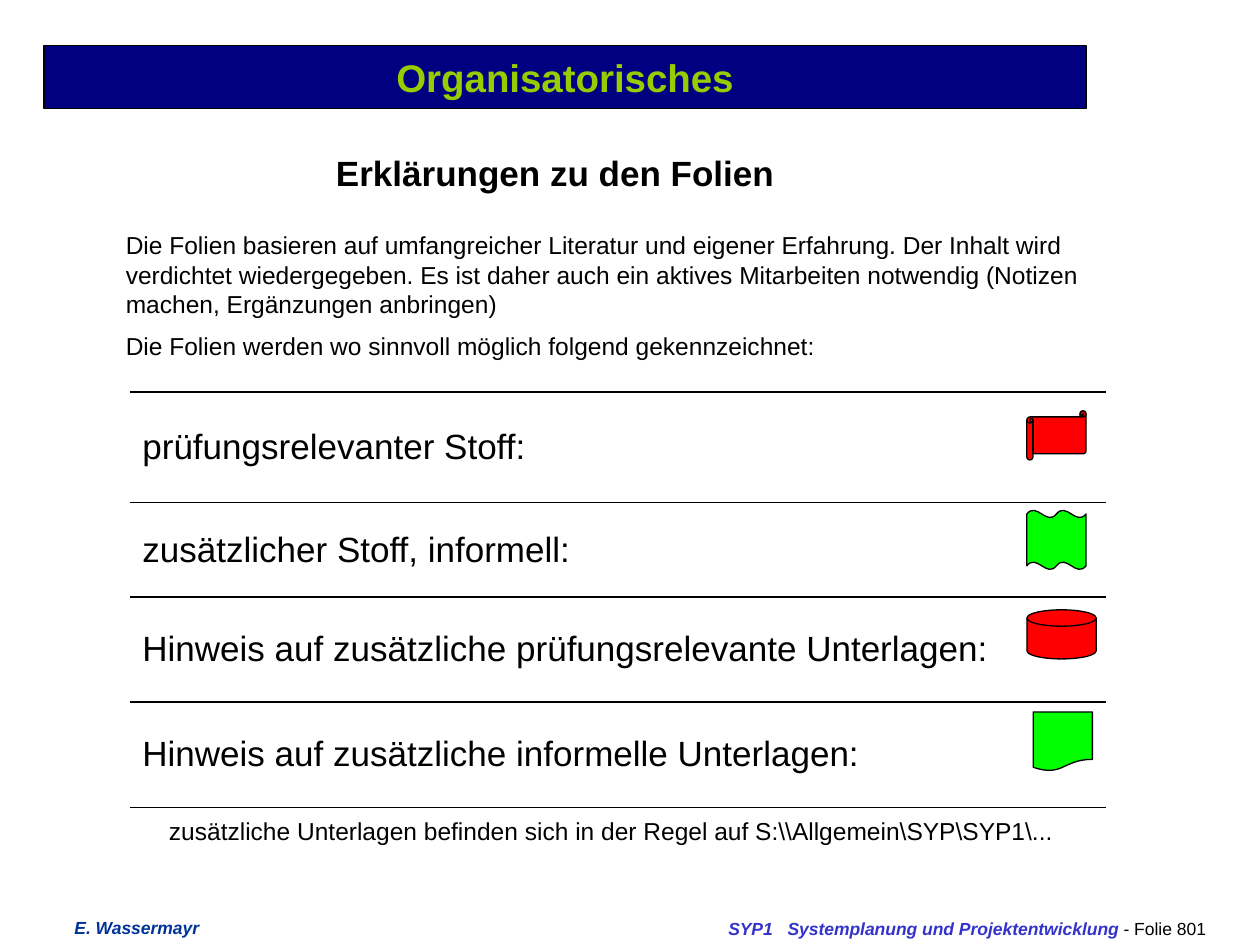
from lxml.etree import SubElement
from pptx import Presentation
from pptx.dml.color import RGBColor
from pptx.enum.shapes import MSO_SHAPE as SHAPE
from pptx.enum.text import MSO_ANCHOR as ANCHOR, PP_ALIGN as ALIGN
from pptx.oxml.ns import qn
from pptx.util import Inches, Pt

WIDTH, HEIGHT = Inches(10), Inches(7.5)
BLACK, NAVY, RED, GREEN = "000000", "000080", "FF0000", "00FF00"

# label, row height, icon shape, icon box (left, top, width, height) within the row
LEGEND = [
    ("prüfungsrelevanter Stoff:", 11.73,
     SHAPE.HORIZONTAL_SCROLL, RED, (71.2, 2, 4.7, 5.2)),
    ("zusätzlicher Stoff, informell:", 10,
     SHAPE.DOUBLE_WAVE, GREEN, (71.2, 0.8, 4.7, 6.27)),
    ("Hinweis auf zusätzliche prüfungsrelevante Unterlagen:", 11.07,
     SHAPE.FLOWCHART_MAGNETIC_DISK, RED, (71.2, 1.33, 5.5, 5.2)),
    ("Hinweis auf zusätzliche informelle Unterlagen:", 11.2,
     SHAPE.FLOWCHART_DOCUMENT, GREEN, (71.7, 1.07, 4.7, 6.27)),
]
INTRO = [
    "Die Folien basieren auf umfangreicher Literatur und eigener Erfahrung. "
    "Der Inhalt wird verdichtet wiedergegeben. Es ist daher auch ein aktives "
    "Mitarbeiten notwendig (Notizen machen, Ergänzungen anbringen)",
    "Die Folien werden wo sinnvoll möglich folgend gekennzeichnet:",
]


def color(hex_value):
    return RGBColor.from_string(hex_value)


def across(percent):
    return round(WIDTH * percent / 100)


def down(percent):
    return round(HEIGHT * percent / 100)


def place(box):
    """Turn a box in percent of the slide into lengths."""
    left, top, width, height = box
    return across(left), down(top), across(width), down(height)


def add_run(paragraph, text, size, hex_value=BLACK, **styles):
    run = paragraph.add_run()
    run.text = text
    run.font.color.rgb = color(hex_value)
    for name, value in {"name": "Arial", "size": Pt(size), **styles}.items():
        setattr(run.font, name, value)


def add_text(slide, box, lines, size, hex_value=BLACK, align=ALIGN.LEFT, wrap=True, **styles):
    frame = slide.shapes.add_textbox(*place(box)).text_frame
    frame.word_wrap = wrap
    for index, line in enumerate(lines):
        paragraph = frame.add_paragraph() if index else frame.paragraphs[0]
        paragraph.alignment = align
        if index:
            paragraph.space_before = Pt(size / 2)
        add_run(paragraph, line, size, hex_value, **styles)


def add_filled(slide, kind, box, fill):
    shape = slide.shapes.add_shape(kind, *place(box))
    shape.shadow.inherit = False
    shape.fill.solid()
    shape.fill.fore_color.rgb = color(fill)
    shape.line.color.rgb = color(BLACK)
    shape.line.width = Pt(0.75)
    return shape


def add_title(slide, box, text):
    frame = add_filled(slide, SHAPE.RECTANGLE, box, NAVY).text_frame
    frame.vertical_anchor = ANCHOR.MIDDLE
    frame.paragraphs[0].alignment = ALIGN.CENTER
    add_run(frame.paragraphs[0], text, 22, "99CC00", bold=True)


def rule_cell(cell):
    """Draw lines above and below the cell only."""
    properties = cell._tc.get_or_add_tcPr()
    for side in ("lnL", "lnR", "lnT", "lnB"):
        line = SubElement(properties, qn(f"a:{side}"), w=str(Pt(1)))
        if side in ("lnL", "lnR"):
            SubElement(line, qn("a:noFill"))
        else:
            fill = SubElement(line, qn("a:solidFill"))
            SubElement(fill, qn("a:srgbClr"), val=BLACK)
    cell.fill.background()


def add_legend(slide, box):
    left, top = box[:2]
    table = slide.shapes.add_table(len(LEGEND), 1, *place(box)).table
    table.first_row = table.horz_banding = False
    for index, (label, height, kind, fill, icon) in enumerate(LEGEND):
        table.rows[index].height = down(height)
        cell = table.cell(index, 0)
        cell.vertical_anchor = ANCHOR.MIDDLE
        add_run(cell.text_frame.paragraphs[0], label, 20)
        rule_cell(cell)
        dx, dy, *size = icon
        add_filled(slide, kind, (left + dx, top + dy, *size), fill)
        top += height


def add_course_footer(slide, box):
    frame = slide.shapes.add_textbox(*place(box)).text_frame
    frame.word_wrap = True
    frame.margin_left = across(5.4)
    frame.margin_right = 0
    paragraph = frame.paragraphs[0]
    tabs = SubElement(paragraph._p.get_or_add_pPr(), qn("a:tabLst"))
    SubElement(tabs, qn("a:tab"), pos=str(across(4.7)), algn="l")
    add_run(paragraph, "SYP1\tSystemplanung und Projektentwicklung", 10, "3333CC",
            bold=True, italic=True)
    add_run(paragraph, " - Folie 801", 10)


def main():
    presentation = Presentation()
    presentation.slide_width, presentation.slide_height = WIDTH, HEIGHT
    slide = presentation.slides.add_slide(presentation.slide_layouts[6])

    add_course_footer(slide, (52.4, 96.53, 44.3, 3.47))
    add_text(slide, (4.9, 96.4, 11.9, 3.6), ["E. Wassermayr"], 10, "003399",
             ALIGN.CENTER, wrap=False, bold=True, italic=True)
    add_title(slide, (3.5, 4.8, 82.7, 6.67), "Organisatorisches")
    add_text(slide, (3.5, 15.33, 81.9, 5.73), ["Erklärungen zu den Folien "], 20,
             align=ALIGN.CENTER, bold=True)
    add_text(slide, (9, 23.73, 80.3, 15.47), INTRO, 14)
    add_legend(slide, (10.3, 41.47, 77.5, 44))
    add_text(slide, (9.8, 85.73, 78, 4.53),
             ["zusätzliche Unterlagen befinden sich in der Regel auf "
              r"S:\\Allgemein\SYP\SYP1\... "], 14, align=ALIGN.CENTER)
    presentation.save("out.pptx")


if __name__ == "__main__":
    main()
